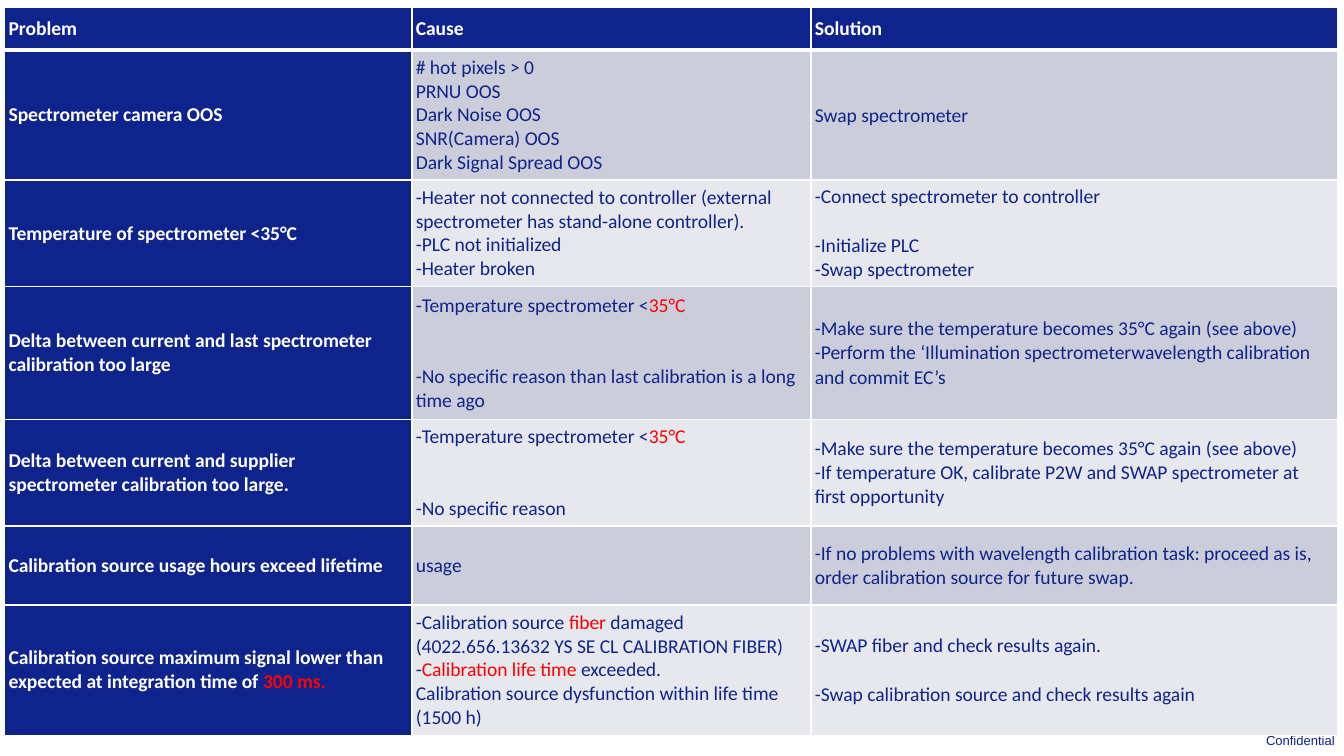
from pptx import Presentation
from pptx import util as u
from pptx.dml.color import RGBColor
from pptx.enum import text
from pptx.oxml import parse_xml
from pptx.oxml.ns import nsdecls

NAVY, WHITE, RED = "0F238C", "FFFFFF", "FF0000"
BANDS = ["CCCDDA", "E7E8EE"]
COLUMN_WIDTHS = [218.2, 213.8, 282.2]
ROW_HEIGHTS = [23, 69.8, 56.9, 71.3, 56.9, 42.5, 69.8]
SOLUTION_LEADING = 13
ONE_LINE, TWO_LINES = 13, 25.6

# Each cell is a list of paragraphs; a pair adds the space before in points.
# Words between bars are red.
ROWS = [
    [["Problem"], ["Cause"], ["Solution"]],
    [["Spectrometer camera OOS"],
     ["# hot pixels > 0", "PRNU OOS", "Dark Noise OOS", "SNR(Camera) OOS",
      "Dark Signal Spread OOS"],
     ["Swap spectrometer"]],
    [["Temperature of spectrometer <35°C"],
     ["-Heater not connected to controller (external spectrometer has "
      "stand-alone controller).", "-PLC not initialized", "-Heater broken"],
     ["-Connect spectrometer to controller", ("-Initialize PLC", ONE_LINE),
      "-Swap spectrometer"]],
    [["Delta between current and last spectrometer calibration too large"],
     ["-Temperature spectrometer <|35°C|",
      ("-No specific reason than last calibration is a long time ago", TWO_LINES)],
     ["-Make sure the temperature becomes 35°C again (see above)",
      "-Perform the ‘Illumination spectrometerwavelength calibration and commit EC’s"]],
    [["Delta between current and supplier spectrometer calibration too large."],
     ["-Temperature spectrometer <|35°C|", ("-No specific reason", TWO_LINES)],
     ["-Make sure the temperature becomes 35°C again (see above)",
      "-If temperature OK, calibrate P2W and SWAP spectrometer at first opportunity"]],
    [["Calibration source usage hours exceed lifetime"],
     ["usage"],
     ["-If no problems with wavelength calibration task: proceed as is, "
      "order calibration source for future swap."]],
    [["Calibration source maximum signal lower than expected at integration "
      "time of |300 ms.|"],
     ["-Calibration source |fiber| damaged (4022.656.13632 YS SE CL CALIBRATION FIBER)",
      "-|Calibration life time |exceeded.",
      "Calibration source dysfunction within life time (1500 h)"],
     ["-SWAP fiber and check results again.",
      ("-Swap calibration source and check results again", ONE_LINE)]],
]


def color(value):
    return RGBColor.from_string(value)


def apply_format(target, values):
    for name, value in values.items():
        setattr(target, name, value)


def add_run(paragraph, words, hex_color, **font_values):
    run = paragraph.add_run()
    run.text = words
    apply_format(run.font, font_values)
    run.font.color.rgb = color(hex_color)


def add_borders(cell, widths):
    properties = cell._tc.get_or_add_tcPr()
    for side in "LRTB":
        properties.append(parse_xml(
            f'<a:ln{side} {nsdecls("a")} w="{u.Pt(widths.get(side, 1))}">'
            f'<a:solidFill><a:srgbClr val="{WHITE}"/></a:solidFill></a:ln{side}>'))


def fill_cell(cell, paragraphs, fill, ink, bold, leading, borders):
    apply_format(cell, {
        "margin_left": u.Pt(2.2), "margin_right": u.Pt(2.2),
        "margin_top": 0, "margin_bottom": 0,
        "vertical_anchor": text.MSO_ANCHOR.MIDDLE})
    add_borders(cell, borders)
    cell.fill.solid()
    cell.fill.fore_color.rgb = color(fill)
    frame = cell.text_frame
    for index, entry in enumerate(paragraphs):
        words, gap = entry if isinstance(entry, tuple) else (entry, 0)
        paragraph = frame.add_paragraph() if index else frame.paragraphs[0]
        if gap:
            paragraph.space_before = u.Pt(gap)
        if leading:
            paragraph.line_spacing = u.Pt(leading)
        for part, piece in enumerate(words.split("|")):
            if piece:
                add_run(paragraph, piece, RED if part % 2 else ink,
                        name="Calibri", size=u.Pt(10.5), bold=bold)


def add_problem_table(slide):
    shape = slide.shapes.add_table(
        len(ROWS), len(COLUMN_WIDTHS), u.Pt(2.4), u.Pt(3.8),
        u.Pt(sum(COLUMN_WIDTHS)), u.Pt(sum(ROW_HEIGHTS)))
    table = shape.table
    for column, width in zip(table.columns, COLUMN_WIDTHS):
        column.width = u.Pt(width)
    for row, height in zip(table.rows, ROW_HEIGHTS):
        row.height = u.Pt(height)
    for i, row in enumerate(ROWS):
        # A thick rule separates the header from the body
        borders = {0: {"B": 3}, 1: {"T": 3}}.get(i, {})
        for j, paragraphs in enumerate(row):
            heading = i == 0 or j == 0
            fill_cell(table.cell(i, j), paragraphs,
                      fill=NAVY if heading else BANDS[(i - 1) % 2],
                      ink=WHITE if heading else NAVY, bold=heading,
                      leading=SOLUTION_LEADING if i == 0 or j == 2 else None,
                      borders=borders)


def add_confidential_label(slide):
    box = slide.shapes.add_textbox(u.Pt(665.3), u.Pt(388.8), u.Pt(54.7), u.Pt(15.8))
    frame = box.text_frame
    apply_format(frame, {
        "margin_left": 0, "margin_right": u.Pt(5), "margin_top": 0,
        "margin_bottom": 0, "word_wrap": True,
        "vertical_anchor": text.MSO_ANCHOR.MIDDLE})
    paragraph = frame.paragraphs[0]
    paragraph.alignment = text.PP_ALIGN.RIGHT
    add_run(paragraph, "Confidential", NAVY, name="Arial", size=u.Pt(7))


def main():
    presentation = Presentation()
    presentation.slide_width, presentation.slide_height = u.Pt(720), u.Pt(405)
    slide = presentation.slides.add_slide(presentation.slide_layouts[6])
    add_confidential_label(slide)
    add_problem_table(slide)
    presentation.save("out.pptx")


if __name__ == "__main__":
    main()
